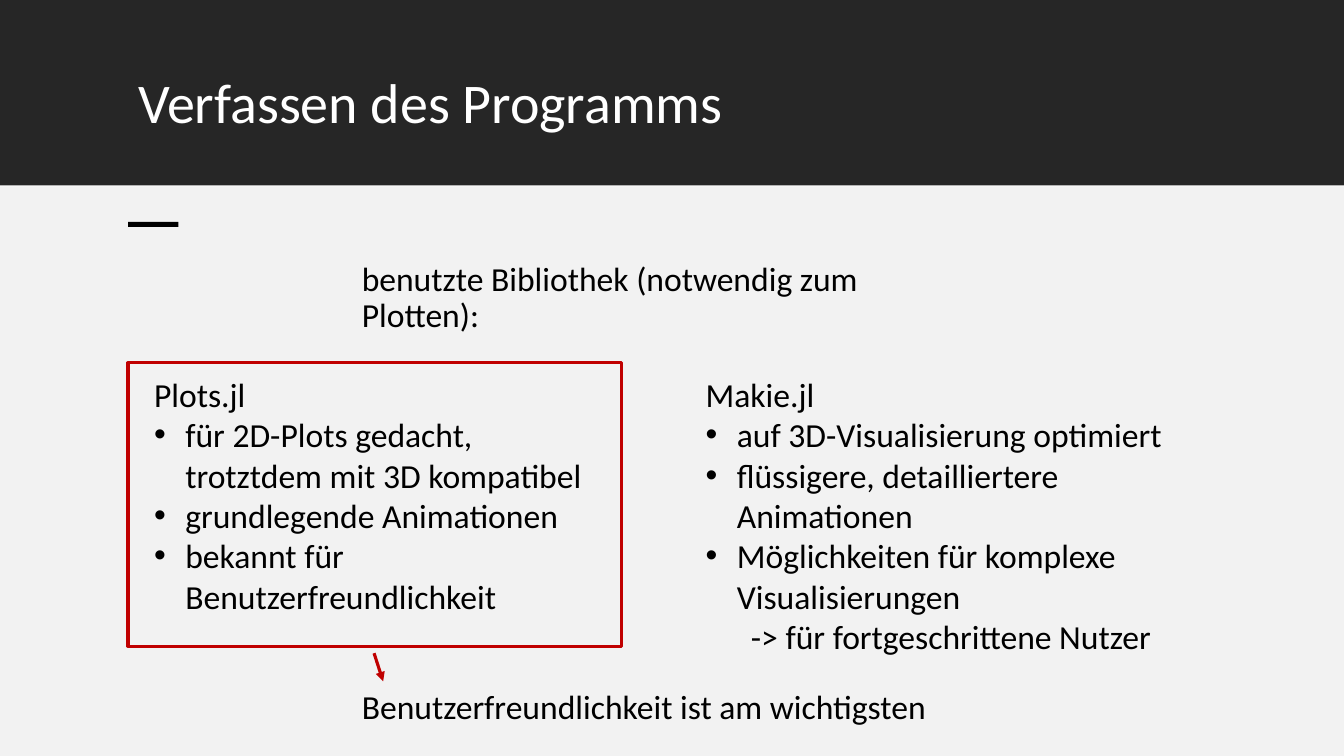
from pptx import Presentation
from pptx.dml.color import RGBColor
from pptx.enum.shapes import MSO_CONNECTOR, MSO_SHAPE
from pptx.enum.text import MSO_ANCHOR, MSO_AUTO_SIZE, PP_ALIGN
from pptx.oxml.ns import qn
from pptx.util import Inches, Pt
from lxml.etree import SubElement

COLORS = {
    "header": "262626",
    "body": "F2F2F2",
    "text": "000000",
    "title": "FFFFFF",
    "accent": "C00000",
}
FONT = "Calibri"
TEXT_SIZE = 24
INDENT = 0.31
ARROW_INDENT = 0.45


class SlideBuilder:
    def __init__(self, slide):
        self.slide = slide

    def color(self, name):
        return RGBColor.from_string(COLORS[name])

    def format_paragraph(self, paragraph, size, color, spacing=None):
        paragraph.alignment = PP_ALIGN.LEFT
        if spacing:
            paragraph.line_spacing = spacing
        for run in paragraph.runs:
            run.font.name = FONT
            run.font.size = Pt(size)
            run.font.color.rgb = self.color(color)

    def rectangle(self, left, top, width, height, fill=None, line=None):
        shape = self.slide.shapes.add_shape(
            MSO_SHAPE.RECTANGLE, Inches(left), Inches(top), Inches(width), Inches(height))
        shape.shadow.inherit = False
        if fill:
            shape.fill.solid()
            shape.fill.fore_color.rgb = self.color(fill)
        else:
            shape.fill.background()
        if line:
            shape.line.color.rgb = self.color(line)
            shape.line.width = Pt(2.25)
        else:
            shape.line.fill.background()

    def title(self, text, left, top, width, height):
        shape = self.slide.shapes.title
        shape.left, shape.top = Inches(left), Inches(top)
        shape.width, shape.height = Inches(width), Inches(height)
        # Bring the title in front of the header band
        shape.element.getparent().append(shape.element)
        frame = shape.text_frame
        frame.text = text
        frame.vertical_anchor = MSO_ANCHOR.TOP
        frame.auto_size = MSO_AUTO_SIZE.NONE
        self.format_paragraph(frame.paragraphs[0], 40, "title", 0.9)

    def text(self, lines, left, top, width, height, spacing=None):
        """Add a text box; each line is (text, style), style: plain, bullet or arrow."""
        box = self.slide.shapes.add_textbox(
            Inches(left), Inches(top), Inches(width), Inches(height))
        frame = box.text_frame
        frame.word_wrap = True
        for index, (line, style) in enumerate(lines):
            paragraph = frame.add_paragraph() if index else frame.paragraphs[0]
            paragraph.text = line
            properties = paragraph._p.get_or_add_pPr()
            if style == "bullet":
                properties.set("marL", str(Inches(INDENT)))
                properties.set("indent", str(-Inches(INDENT)))
                SubElement(properties, qn("a:buFont"), typeface="Arial")
                SubElement(properties, qn("a:buChar"), char="•")
            elif style == "arrow":
                properties.set("marL", str(Inches(ARROW_INDENT)))
            self.format_paragraph(paragraph, TEXT_SIZE, "text", spacing)

    def arrow(self, start, end, color):
        connector = self.slide.shapes.add_connector(
            MSO_CONNECTOR.STRAIGHT, *(Inches(value) for value in start + end))
        connector.line.color.rgb = self.color(color)
        connector.line.width = Pt(2.25)
        SubElement(connector.line._get_or_add_ln(), qn("a:tailEnd"), type="triangle")
        SubElement(connector._element.spPr, qn("a:effectLst"))


def main():
    presentation = Presentation()
    presentation.slide_width = Inches(13.33)
    presentation.slide_height = Inches(7.5)
    builder = SlideBuilder(presentation.slides.add_slide(presentation.slide_layouts[5]))

    # Header and background
    builder.rectangle(0, -0.01, 13.33, 1.85, fill="header")
    builder.title("Verfassen des Programms", 1.27, 0.7, 10.81, 0.98)
    builder.rectangle(0, 1.85, 13.33, 5.65, fill="body")
    builder.rectangle(1.27, 2.2, 0.5, 0.05, fill="text")

    # Introduction
    builder.text([("benutzte Bibliothek (notwendig zum Plotten):", "plain")],
                 3.49, 2.55, 6.2, 0.85, spacing=0.9)

    # Library comparison
    builder.text([
        ("Plots.jl", "plain"),
        ("für 2D-Plots gedacht, trotztdem mit 3D kompatibel", "bullet"),
        ("grundlegende Animationen", "bullet"),
        ("bekannt für Benutzerfreundlichkeit", "bullet"),
    ], 1.43, 3.66, 4.45, 2.52)
    builder.text([
        ("Makie.jl", "plain"),
        ("auf 3D-Visualisierung optimiert", "bullet"),
        ("flüssigere, detailliertere Animationen", "bullet"),
        ("Möglichkeiten für komplexe Visualisierungen", "bullet"),
        ("-> für fortgeschrittene Nutzer", "arrow"),
    ], 6.9, 3.66, 5.37, 2.93)

    # Chosen library and reason
    builder.rectangle(1.27, 3.6, 4.89, 2.81, line="accent")
    builder.text([("Benutzerfreundlichkeit ist am wichtigsten", "plain")],
                 3.49, 6.76, 5.81, 0.5)
    builder.arrow((3.71, 6.48), (3.8, 6.76), "accent")

    presentation.save("out.pptx")


if __name__ == "__main__":
    main()
